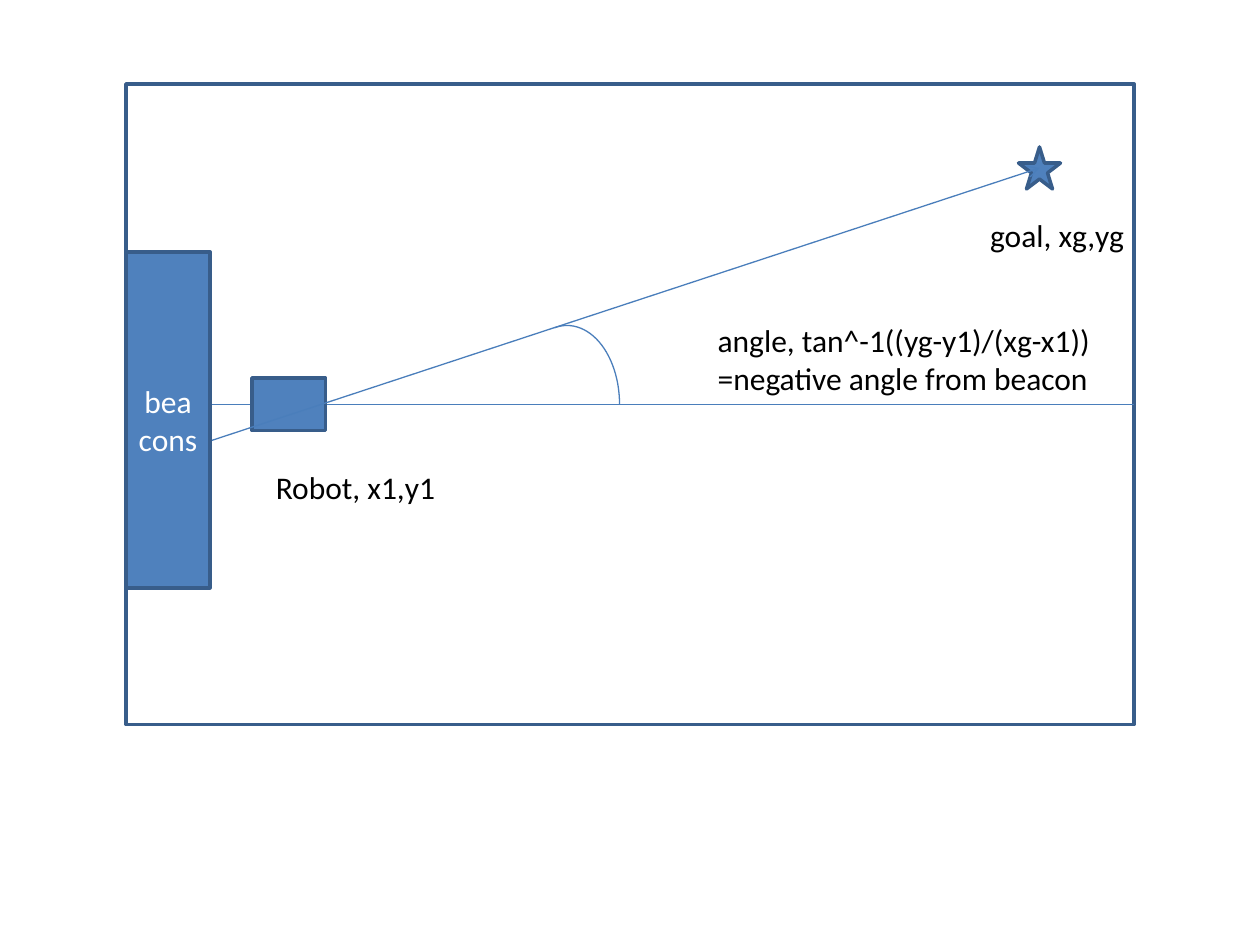
import dataclasses

import pptx
import pptx.dml.color
import pptx.enum.shapes
import pptx.enum.text
import pptx.oxml
import pptx.oxml.ns
import pptx.util

Pt = pptx.util.Pt
SHAPE = pptx.enum.shapes.MSO_SHAPE
LEFT_SIDE, RIGHT_SIDE = 1, 3


@dataclasses.dataclass(frozen=True)
class Theme:
    font: str = "Calibri"
    size: float = 18
    dark: str = "000000"
    light: str = "FFFFFF"
    fill: str = "4F81BD"
    border: str = "385D8A"
    ray: str = "4A7EBB"
    border_width: float = 2
    ray_width: float = 0.75


THEME = Theme()


def rgb(color):
    return pptx.dml.color.RGBColor.from_string(color)


def set_line(item, color, width):
    item.line.color.rgb = rgb(color)
    item.line.width = Pt(width)


def write_text(shape, *lines, color=THEME.dark, align="LEFT", anchor="TOP", wrap=False):
    frame = shape.text_frame
    frame.word_wrap = wrap
    frame.vertical_anchor = getattr(pptx.enum.text.MSO_ANCHOR, anchor)
    for index, line in enumerate(lines):
        para = frame.add_paragraph() if index else frame.paragraphs[0]
        para.alignment = getattr(pptx.enum.text.PP_ALIGN, align)
        span = para.add_run()
        span.text = line
        span.font.name = THEME.font
        span.font.size = Pt(THEME.size)
        span.font.color.rgb = rgb(color)


def add_shape(page, kind, box, fill=THEME.fill, line=THEME.border, width=THEME.border_width):
    shape = page.shapes.add_shape(kind, *map(Pt, box))
    shape.shadow.inherit = False
    if fill:
        shape.fill.solid()
        shape.fill.fore_color.rgb = rgb(fill)
    else:
        shape.fill.background()
    set_line(shape, line, width)
    return shape


def add_label(page, box, *lines):
    label = page.shapes.add_textbox(*map(Pt, box))
    write_text(label, *lines)


def add_ray(page, start, end, arrow=False):
    ray = page.shapes.add_connector(
        pptx.enum.shapes.MSO_CONNECTOR.STRAIGHT, *map(Pt, start + end))
    set_line(ray, THEME.ray, THEME.ray_width)
    if arrow:
        head = pptx.oxml.parse_xml(
            f'<a:tailEnd {pptx.oxml.ns.nsdecls("a")} type="arrow"/>')
        ray.line._get_or_add_ln().append(head)
    properties = ray._element.spPr
    properties.append(pptx.oxml.parse_xml(
        f'<a:effectLst {pptx.oxml.ns.nsdecls("a")}/>'))
    return ray


def draw_field(page, box):
    """Border of the field and its horizontal axis."""
    left, top, width, height = box
    field = add_shape(page, SHAPE.RECTANGLE, box, fill=None)
    middle = top + height / 2
    axis = add_ray(page, (left, middle), (left + width, middle))
    axis.begin_connect(field, LEFT_SIDE)
    axis.end_connect(field, RIGHT_SIDE)


def draw_robot(page, box):
    left, top, width, height = box
    add_shape(page, SHAPE.RECTANGLE, box)
    add_label(page, (left + 6.5, top + height + 18, 106, 29), "Robot, x1,y1")


def draw_goal(page, box):
    left, top, width, height = box
    add_shape(page, SHAPE.STAR_5_POINT, box)
    add_label(page, (left - 23.3, top + height + 12, 91, 29), "goal, xg,yg")


def draw_angle(page, box):
    """Arc between the axis and the sight line, with its formula."""
    left, top, width, height = box
    arc = add_shape(page, SHAPE.ARC, box, fill=None,
                    line=THEME.ray, width=THEME.ray_width)
    start_degrees = 260.7
    arc.adjustments[0] = start_degrees * 0.6
    arc.adjustments[1] = 0
    add_label(page, (left + 109, top - 6, 228, 50),
              "angle, tan^-1((yg-y1)/(xg-x1))", "=negative angle from beacon")


def draw_beacons(page, box):
    beacons = add_shape(page, SHAPE.RECTANGLE, box)
    write_text(beacons, "beacons", color=THEME.light, align="CENTER",
               anchor="MIDDLE", wrap=True)


def main():
    deck = pptx.Presentation()
    deck.slide_width, deck.slide_height = Pt(720), Pt(540)
    page = deck.slides.add_slide(deck.slide_layouts[6])

    goal = (582, 84, 24, 24)
    draw_field(page, (72, 48, 576, 366))
    draw_robot(page, (144, 216, 42, 30))
    draw_goal(page, goal)
    # Sight line from the beacons to the centre of the goal
    add_ray(page, (120, 252), (goal[0] + goal[2] / 2, goal[1] + goal[3] / 2), arrow=True)
    draw_angle(page, (294, 186, 60, 90))
    draw_beacons(page, (72, 144, 48, 192))
    deck.save("out.pptx")


if __name__ == "__main__":
    main()
